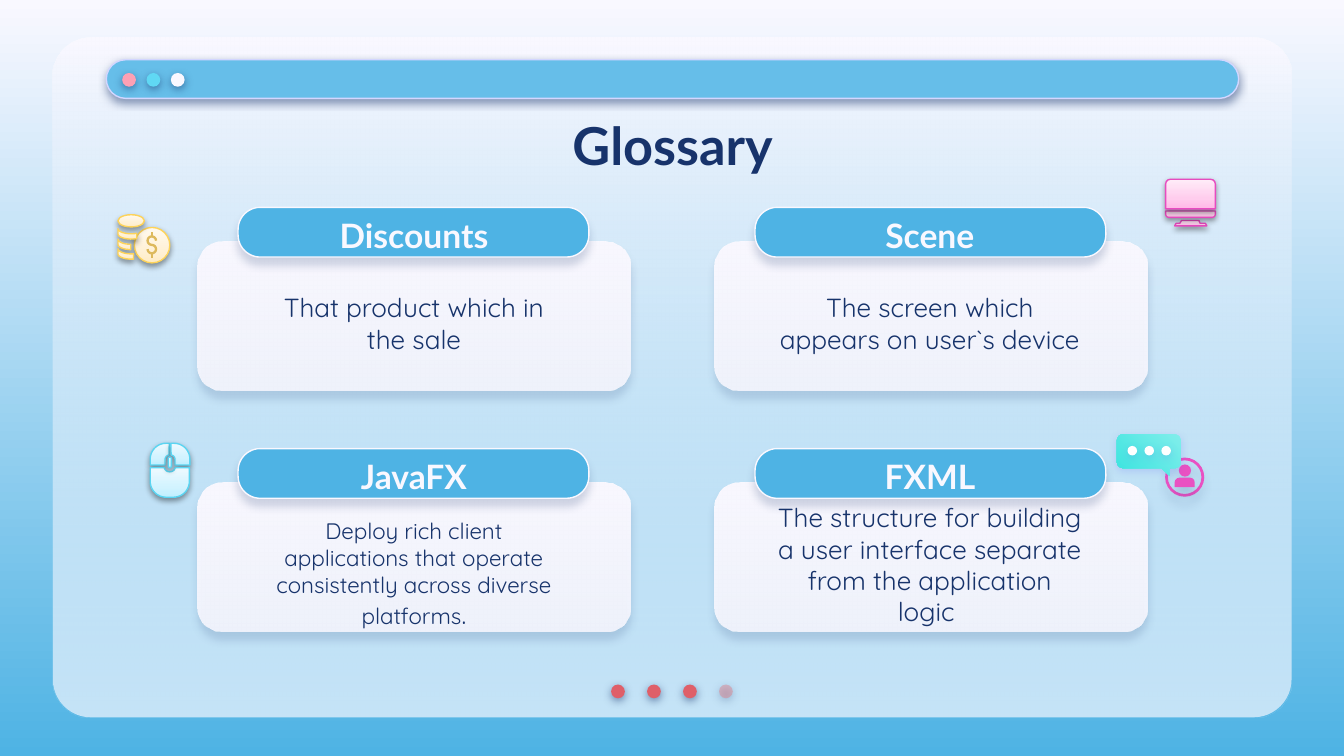
"""Build the glossary slide: a window panel with four term cards and small icons."""
from dataclasses import dataclass
from math import cos, radians, sin
from typing import NamedTuple, Optional

from lxml import etree
from pptx import Presentation
from pptx.dml.color import RGBColor
from pptx.enum import shapes, text
from pptx.oxml.ns import qn
from pptx.util import Cm, Pt

COLORS = {
    "navy": "17336B", "pale": "F9F8FF", "sky": "4EB3E4", "bar": "66BEE9",
    "lilac": "D2D6FF", "red": "DF5F69", "faded": "E27B83", "pink": "FDA0B4",
    "cyan": "60D8F4", "magenta": "E951C2", "white": "FFFFFF", "indigo": "5352EE",
    "black": "000000", "gold": "FDD359", "ochre": "DDB95C", "rose": "E84BC0",
    "aqua": "5AD5F2", "teal": "3AE4DF", "mint": "81EEEB",
    "gold1": "FFECC5", "gold2": "FFF1D6", "gold3": "FFF9EF",
    "rose1": "FFB8E7", "rose2": "FFCDED", "rose3": "FFECF8",
    "aqua1": "C0EFFF", "aqua2": "D2F3FF", "aqua3": "EEFAFF",
}
SHAPE = shapes.MSO_SHAPE


class Stop(NamedTuple):
    pos: int
    color: str
    alpha: int = 100


class Shadow(NamedTuple):
    color: str
    alpha: int
    blur: float
    dist: float


@dataclass
class Style:
    stops: list[Stop]
    angle: int = 90
    line: Optional[str] = None
    shadow: Optional[Shadow] = None


@dataclass
class Card:
    col: int
    row: int
    term: str
    runs: list[tuple[str, int]]
    drop: float = 0.51


def solid(color: str, shadow: Optional[Shadow] = None, line: Optional[str] = None,
          alpha: int = 100) -> Style:
    """Return a one-colour style."""
    return Style([Stop(0, color, alpha)], line=line, shadow=shadow)


def icon_style(name: str) -> Style:
    """Return the outlined three-tone icon style of a colour family."""
    stops = [Stop(pos, f"{name}{i}") for i, pos in enumerate((0, 35, 100), 1)]
    return Style(stops, 270, name, Shadow("black", 38, 3.1, 1.6))


DOT_SHADOW = Shadow("navy", 50, 4.5, 1.5)
CARD_SHADOW = Shadow("navy", 16, 4.5, 4.5)
BUBBLE_SHADOW = Shadow("indigo", 18, 4.5, 1.5)
PANEL = Style([Stop(0, "pale"), Stop(100, "bar", 35)])
CARD = Style([Stop(0, "pale"), Stop(100, "pale", 87)], shadow=CARD_SHADOW)
BUBBLE = Style([Stop(0, "mint"), Stop(100, "teal")], 135, shadow=BUBBLE_SHADOW)
TAB = solid("sky", Shadow("navy", 18, 4.5, 3.8), "pale")
USER = solid("magenta", CARD_SHADOW)
GOLD, ROSE, AQUA = map(icon_style, ("gold", "rose", "aqua"))

CARDS = [
    Card(0, 0, "Discounts", [("That product which in the sale", 14)]),
    Card(1, 0, "Scene", [("The screen which appears on user`s device", 14)]),
    Card(0, 1, "JavaFX", [("Deploy rich client applications that operate consistently "
                           "across diverse platforms", 12), (".", 14)], 0.68),
    Card(1, 1, "FXML", [("The structure for building a user interface separate from "
                         "the application logic ", 14)]),
]


def rgb(name: str) -> RGBColor:
    """Look up a palette colour."""
    return RGBColor.from_string(COLORS[name])


def add_color(parent, name: str, alpha: int) -> None:
    """Append a colour with opacity to an XML element."""
    clr = etree.SubElement(parent, qn("a:srgbClr"), val=COLORS[name])
    if alpha < 100:
        etree.SubElement(clr, qn("a:alpha"), val=str(alpha * 1000))


def gradient(fill, holder, stops: list[Stop], angle: int) -> None:
    """Give a fill its gradient stops and clockwise angle."""
    fill.gradient()
    grad = next(holder.iter(qn("a:gradFill")))
    gs_lst = grad.find(qn("a:gsLst"))
    for gs in list(gs_lst):
        gs_lst.remove(gs)
    for stop in stops:
        gs = etree.SubElement(gs_lst, qn("a:gs"), pos=str(stop.pos * 1000))
        add_color(gs, stop.color, stop.alpha)
    grad.find(qn("a:lin")).set("ang", str(angle * 60000))


def paint(sp, style: Style) -> None:
    """Apply fill, outline and shadow to a shape."""
    first = style.stops[0]
    if len(style.stops) > 1:
        gradient(sp.fill, sp.element.spPr, style.stops, style.angle)
    else:
        sp.fill.solid()
        sp.fill.fore_color.rgb = rgb(first.color)
        if first.alpha < 100:
            clr = next(sp.element.spPr.iter(qn("a:srgbClr")))
            etree.SubElement(clr, qn("a:alpha"), val=str(first.alpha * 1000))
    if style.line:
        sp.line.color.rgb = rgb(style.line)
        sp.line.width = Pt(0.75)
    else:
        sp.line.fill.background()
    sp.shadow.inherit = False
    if style.shadow:
        sh = style.shadow
        effects = sp.element.spPr.find(qn("a:effectLst"))
        outer = etree.SubElement(effects, qn("a:outerShdw"), blurRad=str(Pt(sh.blur)),
                                 dist=str(Pt(sh.dist)), dir="5400000", algn="bl",
                                 rotWithShape="0")
        add_color(outer, sh.color, sh.alpha)


def add_preset(s, kind, x: float, y: float, w: float, h: float, style: Style,
               *adj: float) -> None:
    """Draw a preset shape, measured in centimetres."""
    sp = s.shapes.add_shape(kind, Cm(x), Cm(y), Cm(w), Cm(h))
    for i, value in enumerate(adj):
        sp.adjustments[i] = value
    paint(sp, style)


def add_outline(s, points: list[tuple[float, float]], close: bool = True):
    """Draw a freeform through points in centimetres."""
    pts = [(Cm(x), Cm(y)) for x, y in points]
    builder = s.shapes.build_freeform(*pts[0])
    builder.add_line_segments(pts[1:], close=close)
    return builder.convert_to_shape()


def arc(cx: float, cy: float, rx: float, ry: float, start: int, end: int):
    """Return points along an elliptical arc, clockwise angles."""
    angles = [radians(start + (end - start) * i / 12) for i in range(13)]
    return [(cx + rx * cos(a), cy + ry * sin(a)) for a in angles]


def write(sp, runs: list[tuple[str, int]], font: str, color: str, bold: bool,
          inset: float) -> None:
    """Fill a text shape with one centred paragraph."""
    tf = sp.text_frame
    frame = {"word_wrap": True, "auto_size": text.MSO_AUTO_SIZE.NONE,
             "vertical_anchor": text.MSO_ANCHOR.MIDDLE}
    frame |= {f"margin_{side}": Cm(inset) for side in ("left", "right", "top", "bottom")}
    for name, value in frame.items():
        setattr(tf, name, value)
    p = tf.paragraphs[0]
    p.alignment = text.PP_ALIGN.CENTER
    for content, size in runs:
        r = p.add_run()
        r.text = content
        for name, value in {"name": font, "size": Pt(size), "bold": bold}.items():
            setattr(r.font, name, value)
        r.font.color.rgb = rgb(color)


def add_card(s, card: Card) -> None:
    """Draw one glossary card with its tab, term and meaning."""
    x, y = 3.74 + 9.77 * card.col, 4.56 + 4.56 * card.row
    text_x = 4.69 + 9.75 * card.col
    add_preset(s, SHAPE.ROUNDED_RECTANGLE, x, y, 8.18, 2.82, CARD, 0.167)
    add_preset(s, SHAPE.ROUNDED_RECTANGLE, x + 0.76, y - 0.64, 6.63, 0.94, TAB, 0.447)
    term = s.shapes.add_textbox(Cm(text_x), Cm(y - 0.49), Cm(6.27), Cm(0.74))
    write(term, [(card.term, 18)], "Lato", "pale", True, 0)
    body = s.shapes.add_textbox(Cm(text_x), Cm(y + card.drop), Cm(6.27), Cm(2.08))
    write(body, card.runs, "Quicksand", "navy", False, 0.25)


def add_dots(s, x: float, y: float, size: float, step: float, styles: list[Style]) -> None:
    """Draw a row of evenly spaced dots."""
    for i, style in enumerate(styles):
        add_preset(s, SHAPE.OVAL, x + i * step, y, size, size, style)


def add_chat(s) -> None:
    """Draw the user badge and speech bubble."""
    add_preset(s, SHAPE.DONUT, 22.02, 8.65, 0.74, 0.74, USER, 0.07)
    add_preset(s, SHAPE.OVAL, 22.28, 8.78, 0.23, 0.23, USER)
    add_preset(s, SHAPE.ROUND_2_SAME_RECTANGLE, 22.2, 9.03, 0.38, 0.18, USER, 0.5, 0)
    bubble = (arc(21.23, 8.33, 0.12, 0.12, 180, 270) + arc(22.2, 8.33, 0.12, 0.12, 270, 360)
              + arc(22.2, 8.73, 0.12, 0.12, 0, 90) + [(22.1, 8.85), (22.1, 8.99), (21.95, 8.85)]
              + arc(21.23, 8.73, 0.12, 0.12, 90, 180))
    paint(add_outline(s, bubble), BUBBLE)
    add_dots(s, 21.31, 8.43, 0.18, 0.32, [solid("white", BUBBLE_SHADOW)] * 3)


def add_coins(s) -> None:
    """Draw the coin stack and the dollar coin."""
    add_preset(s, SHAPE.OVAL, 2.54, 4.3, 0.67, 0.67, GOLD)
    dollar = arc(2.87, 4.55, 0.08, 0.08, 360, 90) + arc(2.87, 4.71, 0.08, 0.08, 270, 540)
    for points in (dollar, [(2.87, 4.39), (2.87, 4.47)], [(2.87, 4.79), (2.87, 4.87)]):
        sp = add_outline(s, points, False)
        paint(sp, solid("ochre", line="ochre"))
        sp.fill.background()
        sp.line.width = Pt(1.25)
    add_preset(s, SHAPE.OVAL, 2.23, 4.06, 0.5, 0.23, GOLD)
    for y, end in ((4.32, 65), (4.52, 92), (4.7, 80)):
        band = arc(2.48, y, 0.25, 0.1, 180, end) + arc(2.48, y + 0.1, 0.25, 0.1, end, 180)
        paint(add_outline(s, band), GOLD)


def add_monitor(s) -> None:
    """Draw the desktop monitor."""
    stand = [(22.33, 4.17), (22.3, 4.22), (22.23, 4.22), (22.2, 4.27),
             (22.81, 4.27), (22.78, 4.22), (22.68, 4.22), (22.66, 4.17)]
    paint(add_outline(s, stand), ROSE)
    add_preset(s, SHAPE.ROUND_2_SAME_RECTANGLE, 22.03, 3.99, 0.94, 0.12, ROSE, 0, 0.5)
    add_preset(s, SHAPE.ROUND_2_SAME_RECTANGLE, 22.03, 3.39, 0.94, 0.56, ROSE, 0.16, 0)


def add_mouse(s) -> None:
    """Draw the computer mouse."""
    button = ([(3.2, 8.38)] + arc(3.14, 8.68, 0.3, 0.3, 270, 180) + [(2.84, 8.79), (3.12, 8.79)]
              + arc(3.21, 8.69, 0.09, 0.09, 180, 260))
    body = ([(2.84, 8.84)] + arc(3.14, 9.1, 0.3, 0.3, 180, 90) + arc(3.28, 9.1, 0.3, 0.3, 90, 0)
            + [(3.58, 8.84)] + arc(3.21, 8.84, 0.1, 0.08, 0, 180))
    for points in (button, [(6.43 - x, y) for x, y in button], body):
        paint(add_outline(s, points), AQUA)
    add_preset(s, SHAPE.ROUNDED_RECTANGLE, 3.18, 8.64, 0.06, 0.2, AQUA, 0.5)


def main() -> None:
    """Assemble and save the slide."""
    prs = Presentation()
    prs.slide_width, prs.slide_height = Cm(25.4), Cm(14.29)
    s = prs.slides.add_slide(prs.slide_layouts[5])
    gradient(s.background.fill, s.element, [Stop(0, "pale"), Stop(100, "sky")], 90)
    for style in (solid("pale"), PANEL):
        add_preset(s, SHAPE.ROUNDED_RECTANGLE, 1, 0.71, 23.41, 12.85, style, 0.056)
    pages = [solid("red", DOT_SHADOW)] * 3 + [solid("faded", DOT_SHADOW, alpha=44)]
    add_dots(s, 11.55, 12.94, 0.26, 0.68, pages)
    add_preset(s, SHAPE.ROUNDED_RECTANGLE, 2.01, 1.13, 21.4, 0.73,
               solid("bar", DOT_SHADOW, "lilac"), 0.5)
    add_dots(s, 2.31, 1.38, 0.26, 0.46,
             [solid(c, DOT_SHADOW) for c in ("pink", "cyan", "pale")])
    title = s.shapes.title
    box = {"left": 2.01, "top": 1.93, "width": 21.4, "height": 1.6}
    for name, value in box.items():
        setattr(title, name, Cm(value))
    write(title, [("Glossary", 28)], "Lato", "navy", True, 0.25)
    s.shapes.element.append(title.element)
    for card in CARDS:
        add_card(s, card)
    for draw in (add_chat, add_coins, add_monitor, add_mouse):
        draw(s)
    prs.save("out.pptx")


if __name__ == "__main__":
    main()
